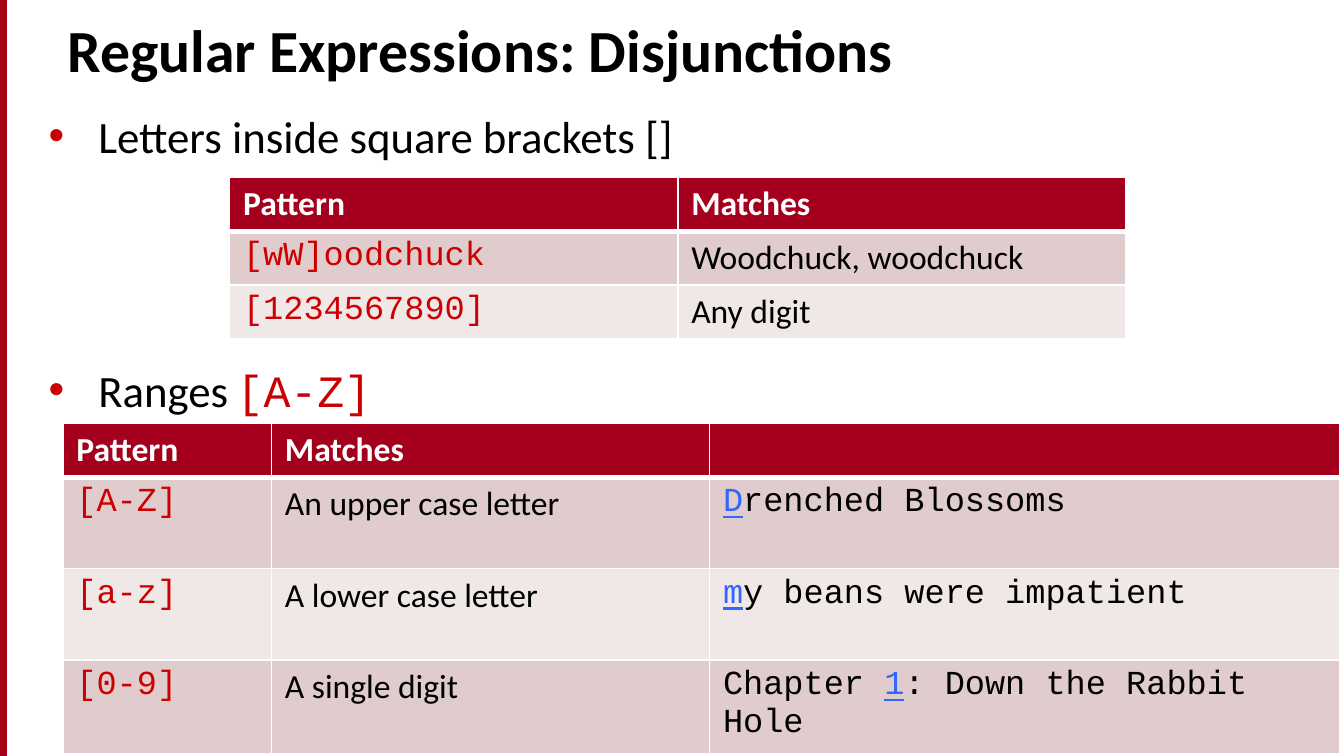
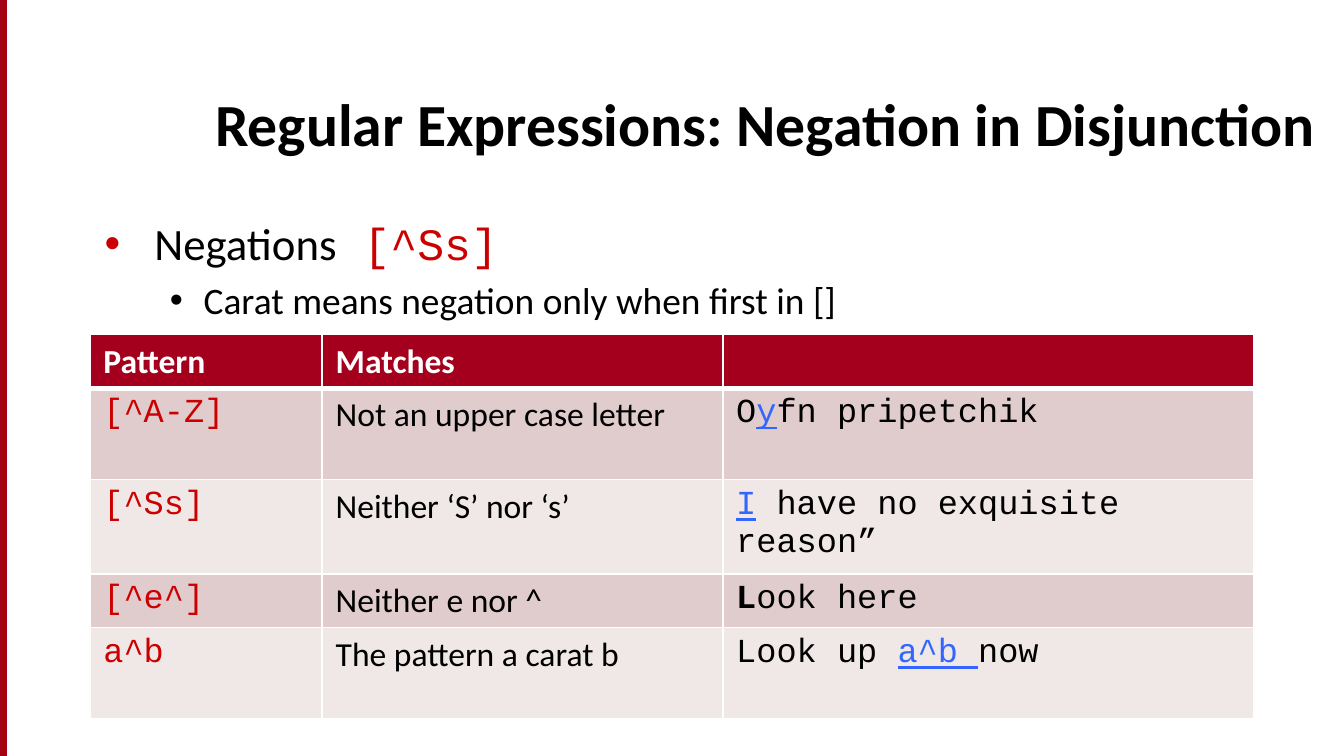
"""Build two slides on disjunction and negation in regular expressions."""
from dataclasses import dataclass

from lxml import etree
from pptx import Presentation
from pptx import util as u
from pptx.dml.color import RGBColor
from pptx.enum import shapes, text
from pptx.oxml import ns


@dataclass(frozen=True)
class Theme:
    """Colours, fonts and type sizes."""
    band: str = "A40508"
    header: str = "A4001D"
    stripes: tuple = ("E0CCCC", "F0E7E7")
    red: str = "CC0000"
    blue: str = "3366FF"
    black: str = "000000"
    white: str = "FFFFFF"
    body_font: str = "Calibri"
    code_font: str = "Courier New"
    title_size: int = 32
    bullet_sizes: tuple = (24, 20)
    cell_size: int = 18
    border: float = 0.96
    header_border: float = 3


THEME = Theme()
STYLES = {
    "plain": {},
    "gap": {"size": 20},
    "head": {"color": THEME.white, "bold": True},
    "pattern": {"font": THEME.code_font, "color": THEME.red},
    "code": {"font": THEME.code_font},
    "strong": {"font": THEME.code_font, "bold": True},
    "match": {"font": THEME.code_font, "color": THEME.blue, "underline": True},
}

WIDTH, HEIGHT = 25.4, 14.29
BAND_WIDTH = 0.13
TITLE_HEIGHT = 2.06
SINGLE_ROW, DOUBLE_ROW = 0.99, 1.73
INDENTS = ((0.97, -0.94), (1.9, -0.64))
BULLET_COLORS = (THEME.red, THEME.black)

SLIDES = [
    {
        "title": ("Regular Expressions: Disjunctions", 1.02, -0.33, 24.05),
        "body": (0.64, 1.93, 21.62, 10.16),
        "bullets": [
            (0, 4.8, [("Letters inside square brackets []", "plain")]),
            (0, 107.1, [("Ranges", "plain"), (" ", "gap"), ("[A-Z]", "pattern")]),
        ],
        "tables": [
            {
                "at": (4.34, 3.35),
                "columns": (8.47, 8.47),
                "heights": (SINGLE_ROW,) * 3,
                "rows": [
                    ("[wW]oodchuck", "Woodchuck, woodchuck"),
                    ("[1234567890]", "Any digit"),
                ],
            },
            {
                "at": (1.19, 8),
                "columns": (3.94, 8.28, 11.91),
                "heights": (SINGLE_ROW, DOUBLE_ROW, DOUBLE_ROW, SINGLE_ROW),
                "rows": [
                    ("[A-Z]", "An upper case letter",
                     ("D", "match"), ("renched Blossoms", "code")),
                    ("[a-z]", "A lower case letter",
                     ("m", "match"), ("y beans were impatient", "code")),
                    ("[0-9]", "A single digit", ("Chapter ", "code"),
                     ("1", "match"), (": Down the Rabbit Hole", "code")),
                ],
            },
        ],
    },
    {
        "title": ("Regular Expressions: Negation in Disjunction", 3.81, 1.07, 21.59),
        "body": (1.7, 3.96, 21.16, 11.43),
        "bullets": [
            (0, 4.8, [("Negations", "plain"), (" [^Ss]", "pattern")]),
            (1, 4, [("Carat means negation only when first in []", "plain")]),
        ],
        "tables": [
            {
                "at": (1.7, 6.32),
                "columns": (4.39, 7.57, 10.03),
                "heights": (SINGLE_ROW, DOUBLE_ROW, SINGLE_ROW, SINGLE_ROW, DOUBLE_ROW),
                "rows": [
                    ("[^A-Z]", "Not an upper case letter", ("O", "code"),
                     ("y", "match"), ("fn pripetchik", "code")),
                    ("[^Ss]", "Neither ‘S’ nor ‘s’",
                     ("I", "match"), (" have no exquisite reason”", "code")),
                    ("[^e^]", "Neither e nor ^",
                     ("L", "strong"), ("ook here", "code")),
                    ("a^b", "The pattern a carat b", ("Look up ", "code"),
                     ("a^b ", "match"), ("now", "code")),
                ],
            },
        ],
    },
]


def add_text(paragraph, content, size, font=THEME.body_font, color=THEME.black,
             bold=False, underline=False):
    """Append one formatted run to a paragraph."""
    run = paragraph.add_run()
    run.text = content
    run.font.size = u.Pt(size)
    run.font.name = font
    run.font.bold = bold
    run.font.underline = underline
    run.font.color.rgb = RGBColor.from_string(color)


def add_runs(paragraph, runs, size):
    """Append runs given as pairs of text and style name."""
    for content, style in runs:
        add_text(paragraph, content, **{"size": size, **STYLES[style]})


def add_band(slide):
    """Draw the red band along the left edge."""
    band = slide.shapes.add_shape(
        shapes.MSO_SHAPE.RECTANGLE, 0, 0, u.Cm(BAND_WIDTH), u.Cm(HEIGHT))
    band.shadow.inherit = False
    band.fill.solid()
    band.fill.fore_color.rgb = RGBColor.from_string(THEME.band)
    band.line.color.rgb = RGBColor.from_string(THEME.header)
    band.line.width = u.Pt(0.75)


def set_title(slide, content, left, top, width):
    """Place and format the title placeholder."""
    title = slide.shapes.title
    title.left, title.top = u.Cm(left), u.Cm(top)
    title.width, title.height = u.Cm(width), u.Cm(TITLE_HEIGHT)
    frame = title.text_frame
    frame.auto_size = text.MSO_AUTO_SIZE.NONE
    frame.vertical_anchor = text.MSO_ANCHOR.BOTTOM
    frame.paragraphs[0].alignment = text.PP_ALIGN.LEFT
    add_text(frame.paragraphs[0], content, THEME.title_size, bold=True)


def set_bullet(paragraph, level):
    """Give a paragraph its indent and coloured bullet."""
    margin, indent = INDENTS[level]
    properties = paragraph._p.get_or_add_pPr()
    properties.set("marL", str(u.Cm(margin)))
    properties.set("indent", str(u.Cm(indent)))
    color = etree.SubElement(properties, ns.qn("a:buClr"))
    etree.SubElement(color, ns.qn("a:srgbClr"), val=BULLET_COLORS[level])
    etree.SubElement(properties, ns.qn("a:buFont"), typeface="Arial")
    etree.SubElement(properties, ns.qn("a:buChar"), char="•")


def add_bullets(slide, box, bullets):
    """Add the bulleted text box."""
    frame = slide.shapes.add_textbox(*map(u.Cm, box)).text_frame
    frame.word_wrap = True
    for index, (level, space, runs) in enumerate(bullets):
        paragraph = frame.add_paragraph() if index else frame.paragraphs[0]
        paragraph.level = level
        paragraph.space_before = u.Pt(space)
        set_bullet(paragraph, level)
        add_runs(paragraph, runs, THEME.bullet_sizes[level])


def set_borders(cell, row):
    """Draw white cell borders, thicker under the header."""
    widths = {"L": THEME.border, "R": THEME.border,
              "T": THEME.header_border if row == 1 else THEME.border,
              "B": THEME.header_border if row == 0 else THEME.border}
    properties = cell._tc.get_or_add_tcPr()
    for index, (side, width) in enumerate(widths.items()):
        line = etree.Element(ns.qn(f"a:ln{side}"), w=str(u.Pt(width)))
        fill = etree.SubElement(line, ns.qn("a:solidFill"))
        etree.SubElement(fill, ns.qn("a:srgbClr"), val=THEME.white)
        properties.insert(index, line)


def add_pattern_table(slide, at, columns, heights, rows):
    """Add a table of patterns, their meanings and sample matches."""
    table = slide.shapes.add_table(
        len(heights), len(columns), *map(u.Cm, (*at, sum(columns), sum(heights)))).table
    for column, width in zip(table.columns, columns):
        column.width = u.Cm(width)
    grid = [[[("Pattern", "head")], [("Matches", "head")], []]]
    grid += [[[(pattern, "pattern")], [(meaning, "plain")], sample]
             for pattern, meaning, *sample in rows]
    for row, (height, contents) in enumerate(zip(heights, grid)):
        table.rows[row].height = u.Cm(height)
        color = THEME.stripes[(row - 1) % 2] if row else THEME.header
        for cell, runs in zip(table.rows[row].cells, contents):
            cell.fill.solid()
            cell.fill.fore_color.rgb = RGBColor.from_string(color)
            set_borders(cell, row)
            add_runs(cell.text_frame.paragraphs[0], runs, THEME.cell_size)


def main():
    """Build and save the presentation."""
    presentation = Presentation()
    presentation.slide_width, presentation.slide_height = u.Cm(WIDTH), u.Cm(HEIGHT)
    for content in SLIDES:
        slide = presentation.slides.add_slide(presentation.slide_layouts[5])
        add_band(slide)
        set_title(slide, *content["title"])
        add_bullets(slide, content["body"], content["bullets"])
        for table in content["tables"]:
            add_pattern_table(slide, **table)
    presentation.save("out.pptx")


if __name__ == "__main__":
    main()
